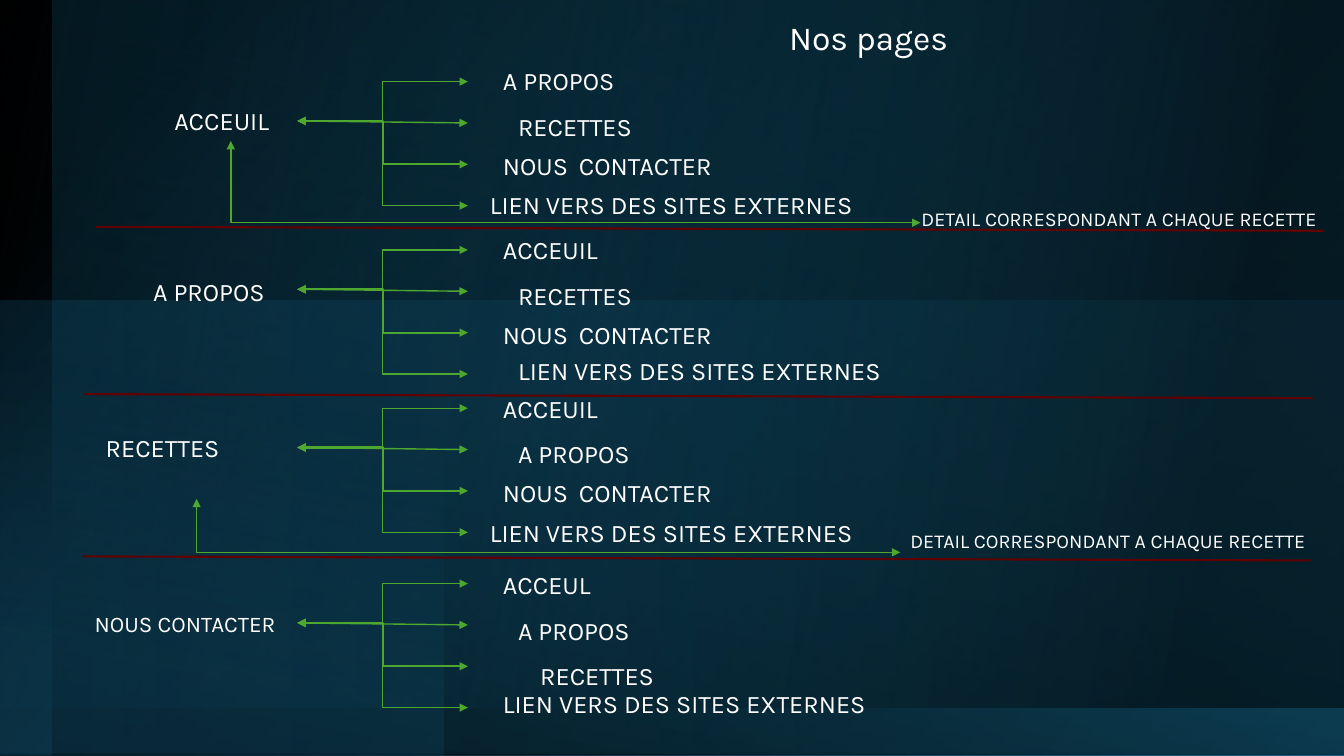
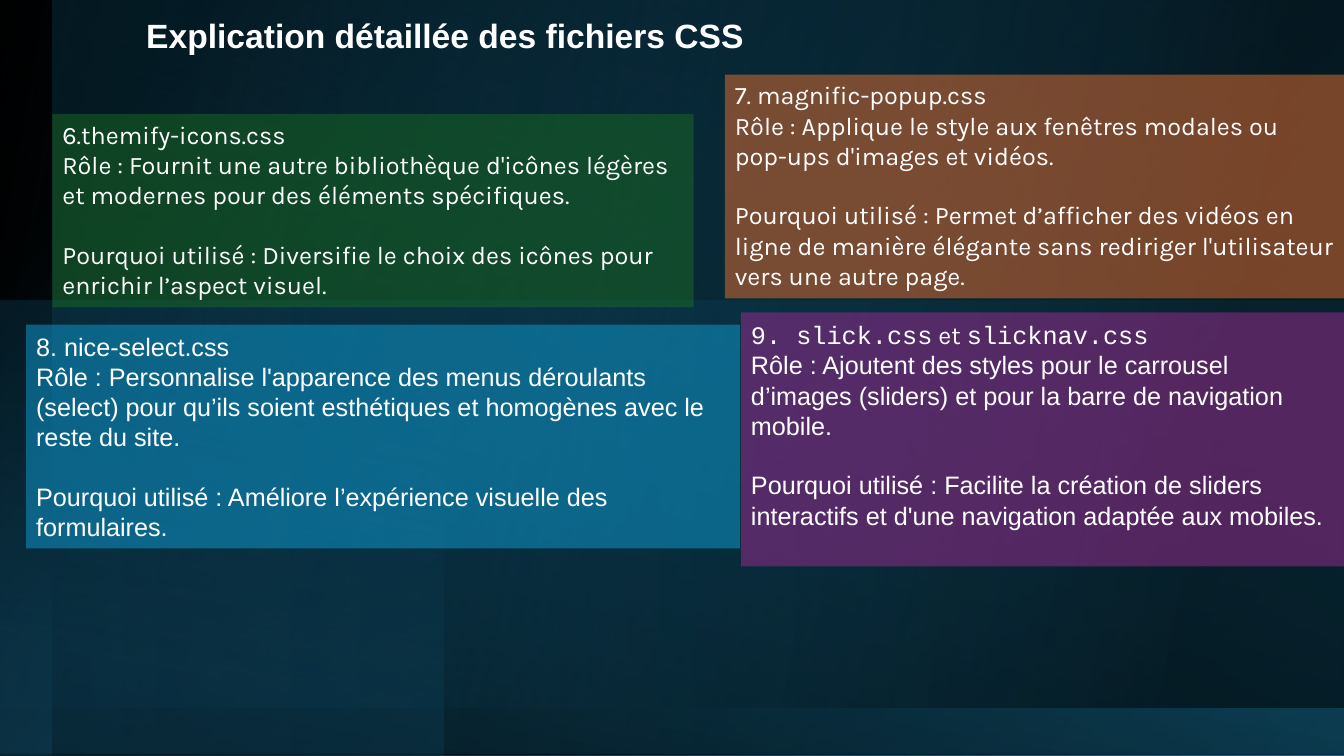
from lxml import etree
from pptx import Presentation
from pptx.dml.color import RGBColor
from pptx.enum.shapes import MSO_CONNECTOR, MSO_SHAPE
from pptx.enum.text import MSO_ANCHOR, MSO_AUTO_SIZE, PP_ALIGN
from pptx.oxml.ns import qn
from pptx.util import Inches, Pt

RECT = MSO_SHAPE.RECTANGLE
STRAIGHT, ELBOW = MSO_CONNECTOR.STRAIGHT, MSO_CONNECTOR.ELBOW
TOP, MIDDLE, BOTTOM = MSO_ANCHOR.TOP, MSO_ANCHOR.MIDDLE, MSO_ANCHOR.BOTTOM
LEFT, CENTER = PP_ALIGN.LEFT, PP_ALIGN.CENTER
TITLE_ONLY = 5

COLORS = {
    "text": "FFFFFF", "black": "000000", "teal": "156082", "deep_teal": "104862",
    "arrow": "4EA72E", "divider": "600000",
    "green": "196B24", "orange": "E97132", "blue": "0F9ED5", "purple": "A02B93",
}
KARLA, ARIAL, COURIER = "Karla", "Arial", "Courier New"

# Backdrop layers: box, rotation, gradient angle, stops (position, colour, opacity)
BACKDROP = [
    ((0, 0, 13.33, 7.5), 0, 140, [(10, "black", 100), (100, "teal", 100)]),
    ((0.52, 0.01, 12.81, 7.48), 0, 260, [(0, "black", 72), (100, "teal", 20)]),
    ((0, 0, 13.33, 7.02), 0, 350, [(12, "black", 63), (100, "deep_teal", 0)]),
    ((0, 2.98, 13.33, 4.5), 0, 0, [(30, "teal", 13), (100, "teal", 24)]),
    ((0, 0.49, 4.4, 7.01), 180, 80, [(15, "deep_teal", 29), (52, "deep_teal", 0)]),
]

# Site map: page name (text, left, top, size), hub height,
# linked pages (text, left, top relative to the hub)
CONTACT = "NOUS CONTACTER"
EXTERNAL = "LIEN VERS DES SITES EXTERNES"
PAGES = [
    (("ACCEUIL", 1.63, 1.0, 18), 1.2,
     [("A PROPOS", 4.89, -0.6), ("RECETTES", 5.04, -0.14),
      (CONTACT, 4.89, 0.05), (EXTERNAL, 4.76, 0.63)]),
    (("A PROPOS", 1.42, 2.69, 18), 2.87,
     [("ACCEUIL", 4.89, -0.59), ("RECETTES", 5.04, -0.14),
      (CONTACT, 4.89, 0.05), (EXTERNAL, 5.04, 0.61)]),
    (("RECETTES", 0.95, 4.24, 18), 4.44,
     [("ACCEUIL", 4.89, -0.59), ("A PROPOS", 5.04, -0.14),
      (CONTACT, 4.89, 0.05), (EXTERNAL, 4.76, 0.64)]),
    ((CONTACT, 0.84, 6.0, 16), 6.18,
     [("ACCEUL", 4.89, -0.58), ("A PROPOS", 5.04, -0.12),
      ("RECETTES", 5.26, 0.32), (EXTERNAL, 4.89, 0.6)]),
]
HUB_LEFT, HUB_RIGHT = 2.95, 4.64
# Arrow end relative to the hub, connector kind, width
BRANCHES = [(0.43, ELBOW, 1.5), (0.84, ELBOW, 1), (-0.39, ELBOW, 1), (0.02, STRAIGHT, 1)]
DIVIDERS = [(0.95, 2.25), (0.84, 3.91), (0.82, 5.52)]
DIVIDER_WIDTH, DIVIDER_DROP = 12.18, 0.04
DETAIL = "DETAIL CORRESPONDANT A CHAQUE RECETTE"
# Arrow right end, arrow top left end, label position
DETAIL_LINKS = [((9.13, 2.21), (2.29, 1.4), (9.04, 2.0)),
                ((8.93, 5.48), (1.95, 4.95), (8.93, 5.2))]

# CSS cards: box, colour, anchor, bottom inset, body font, heading runs, role, reason
CARDS = [
    ((0.52, 1.13, 6.36, 1.92), "green", TOP, 0.05, KARLA,
     [("6.themify-icons.css", KARLA)],
     "Rôle : Fournit une autre bibliothèque d'icônes légères et modernes pour des "
     "éléments spécifiques.",
     "Pourquoi utilisé : Diversifie le choix des icônes pour enrichir l’aspect visuel."),
    ((7.19, 0.74, 6.14, 2.22), "orange", TOP, 0.05, KARLA,
     [("7. magnific-popup.css", KARLA)],
     "Rôle : Applique le style aux fenêtres modales ou pop-ups d'images et vidéos.",
     "Pourquoi utilisé : Permet d’afficher des vidéos en ligne de manière élégante "
     "sans rediriger l'utilisateur vers une autre page."),
    ((0.26, 3.22, 7.08, 2.22), "blue", MIDDLE, 0.05, ARIAL,
     [("8. nice-select.css", ARIAL)],
     "Rôle : Personnalise l'apparence des menus déroulants (select) pour qu’ils soient "
     "esthétiques et homogènes avec le reste du site.",
     "Pourquoi utilisé : Améliore l’expérience visuelle des formulaires."),
    ((7.35, 3.1, 5.98, 2.52), "purple", MIDDLE, 0.34, ARIAL,
     [("9. slick.css", COURIER), (" et ", KARLA), ("slicknav.css", COURIER)],
     "Rôle : Ajoutent des styles pour le carrousel d’images (sliders) et pour la barre "
     "de navigation mobile.",
     "Pourquoi utilisé : Facilite la création de sliders interactifs et d'une navigation "
     "adaptée aux mobiles."),
]


def rgb(name):
    return RGBColor.from_string(COLORS[name])


def inches(values):
    return [Inches(value) for value in values]


def add_run(paragraph, text, size=18, font=KARLA, bold=False):
    run = paragraph.add_run()
    run.text = text
    run.font.size = Pt(size)
    run.font.name = font
    run.font.bold = bold
    run.font.color.rgb = rgb("text")


def add_rectangle(slide, box):
    shape = slide.shapes.add_shape(RECT, *inches(box))
    shape.shadow.inherit = False
    shape.line.fill.background()
    return shape


def set_opacity(color_element, percent):
    etree.SubElement(color_element, qn("a:alpha"), val=str(percent * 1000))


def add_backdrop(slide):
    for box, rotation, angle, stops in BACKDROP:
        shape = add_rectangle(slide, box)
        shape.rotation = rotation
        properties = shape._element.spPr
        properties.find(qn("a:xfrm")).set("flipH", "1")
        gradient = etree.Element(qn("a:gradFill"), rotWithShape="1")
        stop_list = etree.SubElement(gradient, qn("a:gsLst"))
        for position, color, opacity in stops:
            stop = etree.SubElement(stop_list, qn("a:gs"), pos=str(position * 1000))
            set_opacity(etree.SubElement(stop, qn("a:srgbClr"), val=COLORS[color]), opacity)
        etree.SubElement(gradient, qn("a:lin"), ang=str(angle * 60000), scaled="0")
        properties.find(qn("a:prstGeom")).addnext(gradient)


def add_titled_slide(presentation, text, box, font, bold, alignment):
    slide = presentation.slides.add_slide(presentation.slide_layouts[TITLE_ONLY])
    add_backdrop(slide)
    title = slide.shapes.title
    slide.shapes._spTree.append(title._element)  # bring in front of the backdrop
    title.left, title.top, title.width, title.height = inches(box)
    frame = title.text_frame
    frame.auto_size = MSO_AUTO_SIZE.NONE
    frame.vertical_anchor = TOP
    paragraph = frame.paragraphs[0]
    paragraph.alignment = alignment
    add_run(paragraph, text, 24, font, bold)
    return slide


def add_label(slide, text, left, top, size=18, width=4.2, height=0.4):
    frame = slide.shapes.add_textbox(*inches((left, top, width, height))).text_frame
    frame.word_wrap = True
    add_run(frame.paragraphs[0], text, size)


def add_contact_label(slide, left, top):
    """Label whose two words are set apart by a larger space."""
    frame = slide.shapes.add_textbox(*inches((left, top, 3.22, 0.64))).text_frame
    frame.word_wrap = True
    frame.vertical_anchor = BOTTOM
    paragraph = frame.paragraphs[0]
    paragraph.line_spacing = 0.9
    first, second = CONTACT.split()
    for text, size in ((first, 18), (" ", 32), (second, 18)):
        add_run(paragraph, text, size)


def add_line(slide, kind, start, end, color, width, arrows=False):
    connector = slide.shapes.add_connector(kind, *inches(start + end))
    connector.line.color.rgb = rgb(color)
    connector.line.width = Pt(width)
    properties = connector._element.spPr
    if arrows:
        for tag in ("a:headEnd", "a:tailEnd"):
            etree.SubElement(properties.find(qn("a:ln")), qn(tag), type="triangle")
    etree.SubElement(properties, qn("a:effectLst"))
    return connector


def build_site_map(presentation):
    slide = add_titled_slide(presentation, "Nos pages", (3.9, 0.12, 9.43, 0.59),
                             KARLA, False, CENTER)
    # Pages and their links
    for (name, left, top, size), hub, links in PAGES:
        add_label(slide, name, left, top, size, 2.11)
        for drop, kind, width in BRANCHES:
            add_line(slide, kind, (HUB_LEFT, hub), (HUB_RIGHT, hub + drop),
                     "arrow", width, arrows=True)
        for text, link_left, offset in links:
            if text == CONTACT:
                add_contact_label(slide, link_left, hub + offset)
            else:
                add_label(slide, text, link_left, hub + offset)
    # Dividers
    for left, top in DIVIDERS:
        add_line(slide, STRAIGHT, (left, top), (left + DIVIDER_WIDTH, top + DIVIDER_DROP),
                 "divider", 1.5)
    # Links to the recipe details, with a single corner
    for start, end, position in DETAIL_LINKS:
        connector = add_line(slide, ELBOW, start, end, "arrow", 1, arrows=True)
        connector._element.spPr.find(qn("a:prstGeom")).set("prst", "bentConnector2")
        add_label(slide, DETAIL, *position, 14, 4.29, 0.34)


def build_css_cards(presentation):
    slide = add_titled_slide(presentation, "Explication détaillée des fichiers CSS",
                             (1.35, 0.1, 10.63, 0.59), ARIAL, True, LEFT)
    for box, color, anchor, bottom_inset, font, heading, role, reason in CARDS:
        card = add_rectangle(slide, box)
        card.fill.solid()
        card.fill.fore_color.rgb = rgb(color)
        set_opacity(card._element.spPr.find(qn("a:solidFill"))[0], 50)
        frame = card.text_frame
        frame.word_wrap = True
        frame.vertical_anchor = anchor
        frame.margin_bottom = Inches(bottom_inset)
        for index, runs in enumerate((heading, [(role, font)], [(reason, font)])):
            paragraph = frame.add_paragraph() if index else frame.paragraphs[0]
            paragraph.alignment = LEFT
            if index == 2:
                paragraph.space_before = Pt(21)
            for text, run_font in runs:
                add_run(paragraph, text, font=run_font)


def main():
    presentation = Presentation()
    presentation.slide_width, presentation.slide_height = inches((13.33, 7.5))
    build_site_map(presentation)
    build_css_cards(presentation)
    presentation.save("out.pptx")


if __name__ == "__main__":
    main()
